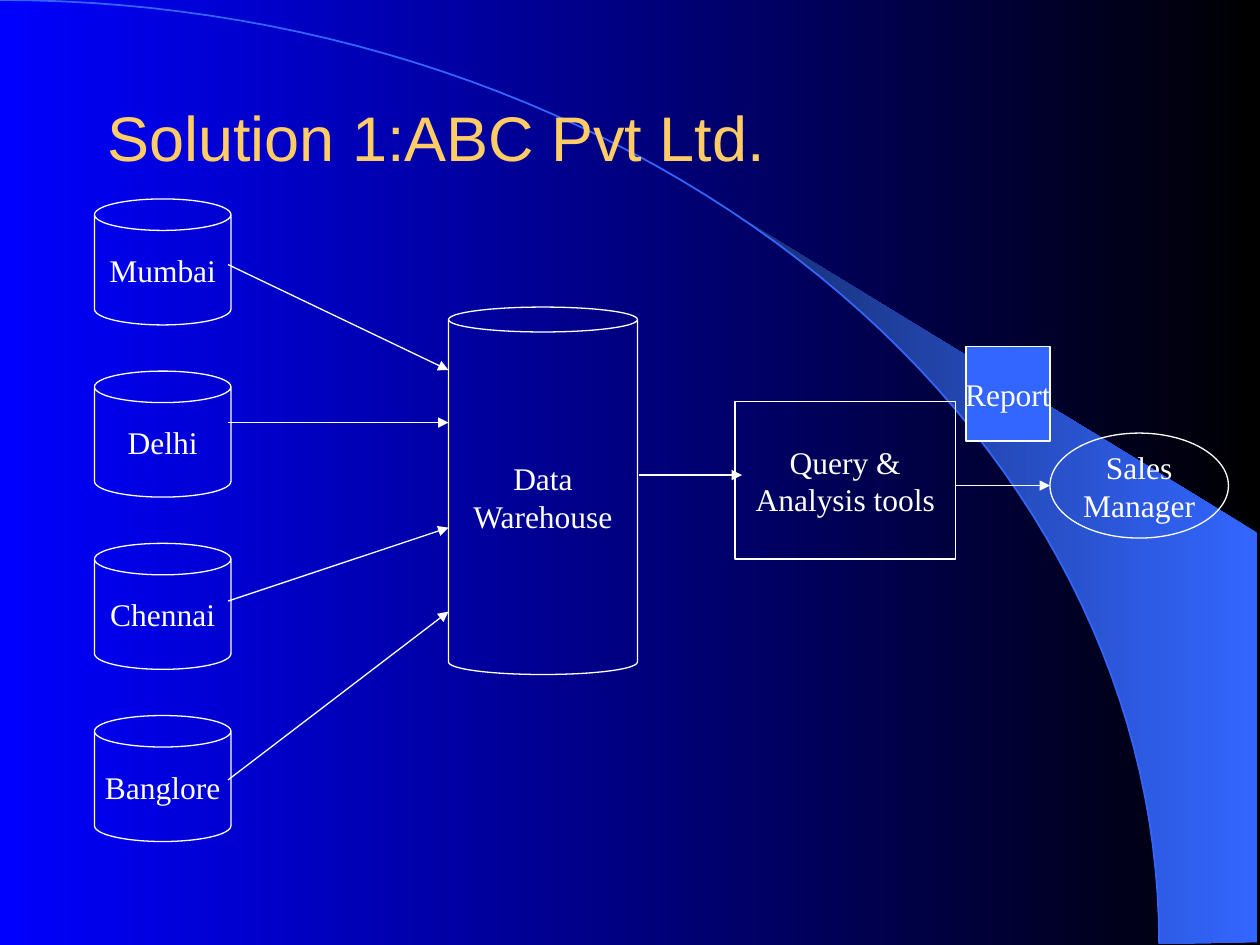
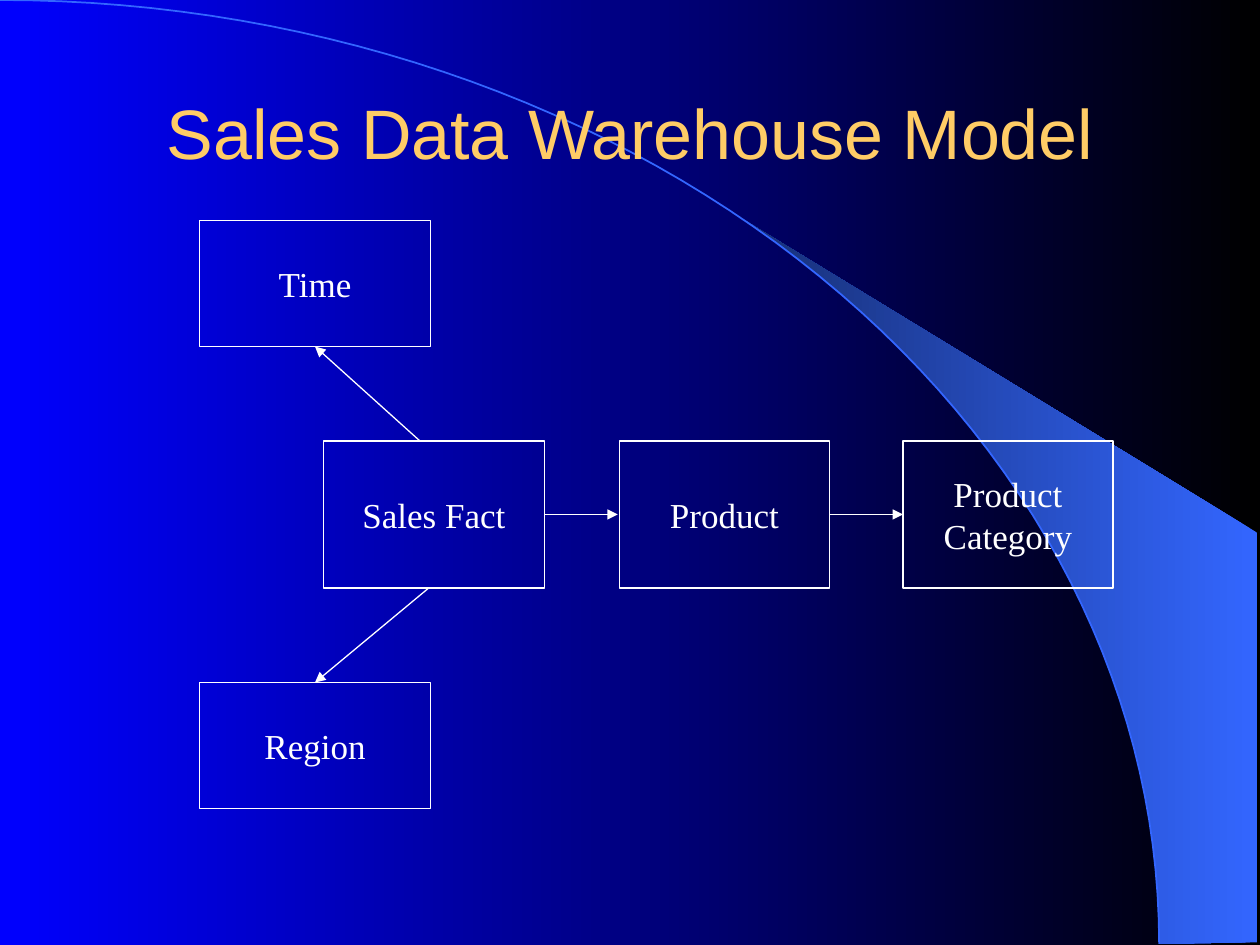
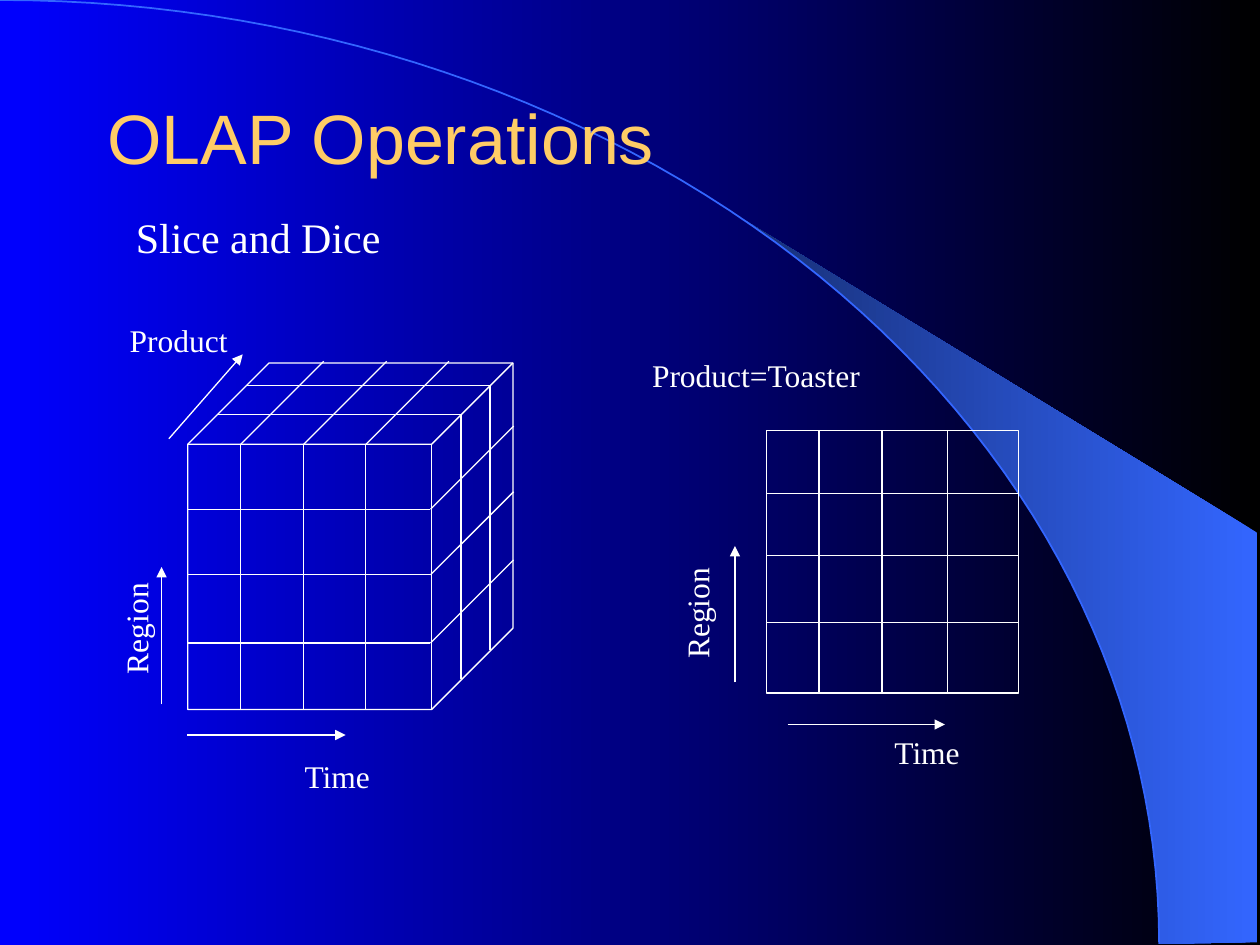
"""Build three data warehouse slides: architecture, model and OLAP operations."""
from dataclasses import dataclass
from math import asin, cos, pi, sin

from lxml.etree import SubElement
from pptx import Presentation
from pptx.dml.color import RGBColor
from pptx.enum.shapes import MSO_CONNECTOR as Connector, MSO_SHAPE as Preset
from pptx.enum.text import MSO_ANCHOR as Anchor, MSO_AUTO_SIZE as AutoSize, PP_ALIGN as Align
from pptx.oxml.ns import qn
from pptx.util import Pt

BLACK, BLUE, WHITE, GOLD = "000000", "0000FF", "FFFFFF", "FFCC66"
SKY, NAVY = "3366FF", "172F75"
TITLE_FONT, BODY_FONT = "Arial", "Times New Roman"
PAGE_WIDTH, PAGE_HEIGHT = 720, 540
ARC_WIDTH, ARC_HEIGHT = 662.4, 539.3
SWOOSH_LEFT, SWOOSH_RIGHT, SWOOSH_BOTTOM, SWOOSH_TOP = 424, 718.5, 538.5, 304.5
TITLE_ONLY = 5


@dataclass(frozen=True)
class Node:
    text: str
    left: float
    top: float
    width: float
    height: float
    preset: Preset = Preset.RECTANGLE
    adjustment: float | None = None
    fill: str | None = None
    size: float = 18


@dataclass(frozen=True)
class Line:
    x1: float
    y1: float
    x2: float
    y2: float
    arrow: bool = False


@dataclass(frozen=True)
class Label:
    text: str
    left: float
    top: float
    width: float
    height: float = 29
    size: float = 18
    rotation: float = 0


def rgb(color: str) -> RGBColor:
    return RGBColor.from_string(color)


def write(shape, text: str, *, size: float, color: str = WHITE, font: str = BODY_FONT,
          align: Align = Align.LEFT, anchor: Anchor = Anchor.MIDDLE, wrap: bool = False) -> None:
    frame = shape.text_frame
    frame.auto_size = AutoSize.NONE
    frame.word_wrap = wrap
    frame.vertical_anchor = anchor
    for index, line in enumerate(text.split("\n")):
        para = frame.add_paragraph() if index else frame.paragraphs[0]
        para.alignment = align
        span = para.add_run()
        span.text = line
        span.font.size = Pt(size)
        span.font.name = font
        span.font.color.rgb = rgb(color)


def paint_gradient(fill, start: str, end: str) -> None:
    fill.gradient()
    fill.gradient_angle = 180
    for stop, color in zip(fill.gradient_stops, (start, end)):
        stop.color.rgb = rgb(color)


def paint_line(line, color: str, width: float = 0.75) -> None:
    line.color.rgb = rgb(color)
    line.width = Pt(width)


def arc_points(start: float, steps: int = 60) -> list[tuple[Pt, Pt]]:
    angles = [start + (pi / 2 - start) * step / steps for step in range(steps + 1)]
    return [(Pt(ARC_WIDTH * sin(angle)), Pt(ARC_HEIGHT * (1 - cos(angle)))) for angle in angles]


def add_outline(page, points: list[tuple[Pt, Pt]], close: bool):
    builder = page.shapes.build_freeform(*points[0])
    builder.add_line_segments(points[1:], close=close)
    shape = builder.convert_to_shape()
    shape.shadow.inherit = False
    return shape


def add_backdrop(page) -> None:
    layout = page.slide_layout
    paint_gradient(layout.background.fill, BLACK, BLUE)
    for placeholder in list(layout.placeholders)[1:]:
        layout.shapes.element.remove(placeholder.element)

    corners = [(Pt(SWOOSH_RIGHT), Pt(SWOOSH_BOTTOM)), (Pt(SWOOSH_RIGHT), Pt(SWOOSH_TOP))]
    swoosh = add_outline(page, corners + arc_points(asin(SWOOSH_LEFT / ARC_WIDTH)), True)
    paint_gradient(swoosh.fill, SKY, NAVY)
    swoosh.line.fill.background()

    arc = add_outline(page, arc_points(0), False)
    arc.fill.background()
    paint_line(arc.line, SKY, 1)
    for shape in (swoosh, arc):
        layout.shapes.element.append(shape.element)


def add_page(deck, title: str, *, size: float = 40, height: float = 60,
             align: Align = Align.LEFT):
    page = deck.slides.add_slide(deck.slide_layouts[TITLE_ONLY])
    box = page.shapes.title
    box.left, box.top, box.width, box.height = Pt(54), Pt(48), Pt(612), Pt(height)
    write(box, title, size=size, color=GOLD, font=TITLE_FONT, align=align, wrap=True)
    return page


def add_node(page, node: Node) -> None:
    shape = page.shapes.add_shape(node.preset, Pt(node.left), Pt(node.top),
                                  Pt(node.width), Pt(node.height))
    shape.shadow.inherit = False
    if node.adjustment is not None:
        shape.adjustments[0] = node.adjustment
    if node.fill:
        shape.fill.solid()
        shape.fill.fore_color.rgb = rgb(node.fill)
    else:
        shape.fill.background()
    paint_line(shape.line, WHITE)
    if node.text:
        write(shape, node.text, size=node.size, align=Align.CENTER)


def add_line(page, line: Line) -> None:
    connector = page.shapes.add_connector(Connector.STRAIGHT, Pt(line.x1), Pt(line.y1),
                                          Pt(line.x2), Pt(line.y2))
    paint_line(connector.line, WHITE)
    properties = connector.element.spPr
    if line.arrow:
        SubElement(properties.get_or_add_ln(), qn("a:tailEnd"), type="triangle")
    SubElement(properties, qn("a:effectLst"))


def add_label(page, label: Label) -> None:
    box = page.shapes.add_textbox(Pt(label.left), Pt(label.top), Pt(label.width), Pt(label.height))
    box.rotation = label.rotation
    write(box, label.text, size=label.size, anchor=Anchor.TOP)


def draw(page, items: list[Node | Line | Label]) -> None:
    painters = {Node: add_node, Line: add_line, Label: add_label}
    for item in items:
        painters[type(item)](page, item)


def architecture() -> list[Node | Line]:
    cities = [Node(city, 54, 113.7 + 98.4 * row, 78, 72, Preset.CAN, 0.25)
              for row, city in enumerate(("Mumbai", "Delhi", "Chennai", "Banglore"))]
    loads = [Line(130.3, start, 256.3, end, True)
             for start, end in ((151.2, 211.5), (241.5, 241.5), (343.5, 301.5), (445.7, 349.5))]
    return [
        *cities,
        Node("Data\nWarehouse", 256.3, 175.5, 108, 210, Preset.CAN, 0.132),
        *loads,
        Line(365, 271.5, 424, 271.5, True),
        Node("Sales\nManager", 600, 247.5, 102, 60, Preset.OVAL),
        Line(546, 277.5, 600, 277.5, True),
        Node("Query &\nAnalysis tools", 420, 229.5, 126, 90),
        Node("Report", 552, 198, 48, 54, fill=SKY),
    ]


def warehouse_model() -> list[Node | Line]:
    dimensions = [Node(name, 114, top, 132, 72, size=20)
                  for name, top in (("Time", 126), ("Region", 390))]
    chain = [Node(name, left, 252, width, 84, size=20)
             for name, left, width in (("Sales Fact", 185, 126), ("Product", 354, 120),
                                       ("Product\nCategory", 516, 120))]
    return [
        *dimensions,
        *chain,
        Line(245, 336, 180, 390, True),
        Line(240, 252, 180, 198, True),
        Line(311, 294, 353, 294, True),
        Line(474, 294, 516, 294, True),
    ]


def cube() -> list[Node | Line]:
    left, edge, top, bottom, depth = 107.3, 246, 254, 405, 47.5
    columns, rows = (137.5, 173.5, 209), (291, 328.5, 367.5)
    slices = ((263.5, 237), (280, 220.5))
    return [
        Node("", left, 207.4, 185.8, 198, Preset.CUBE, 0.25),
        *(Line(x, top, x, bottom) for x in columns),
        *(Line(x, top, x + depth, top - depth) for x in columns),
        *(Line(left, y, edge, y) for y in rows),
        *(Line(edge, y, edge + depth, y - depth) for y in rows),
        *(Line(x, y, x, y + bottom - top) for x, y in slices),
        *(Line(x - edge + left, y, x, y) for x, y in slices),
    ]


def grid() -> list[Node | Line]:
    left, top, width, height = 438, 246, 144, 150
    return [
        Node("", left, top, width, height),
        *(Line(x, top, x, top + height) for x in (468, 504, 541.5)),
        *(Line(left, y, left + width, y) for y in (282, 317.5, 355.7)),
    ]


def olap_operations() -> list[Node | Line | Label]:
    return [
        Label("Slice and Dice", 70.5, 117.5, 154, 36, 24),
        *cube(),
        Line(107, 420, 197.5, 420, True),
        Line(92.3, 402.5, 92.3, 324, True),
        Line(96.5, 250.7, 138.7, 202.5, True),
        Label("Time", 167, 429.3, 65),
        Label("Region", 44.8, 344.7, 66, rotation=270),
        Label("Product", 67, 180, 70.5),
        Label("Product=Toaster", 365.5, 200, 134.5),
        Label("Time", 504, 415.5, 65),
        Label("Region", 365.3, 336, 66, rotation=270),
        *grid(),
        Line(450, 414, 540, 414, True),
        Line(420, 390, 420, 312, True),
    ]


def main() -> None:
    deck = Presentation()
    deck.slide_width, deck.slide_height = Pt(PAGE_WIDTH), Pt(PAGE_HEIGHT)
    solution = add_page(deck, "Solution 1:ABC Pvt Ltd.", size=36)
    add_backdrop(solution)
    draw(solution, architecture())
    draw(add_page(deck, "Sales Data Warehouse Model", height=54, align=Align.CENTER),
         warehouse_model())
    draw(add_page(deck, "OLAP Operations"), olap_operations())
    deck.save("out.pptx")


if __name__ == "__main__":
    main()
